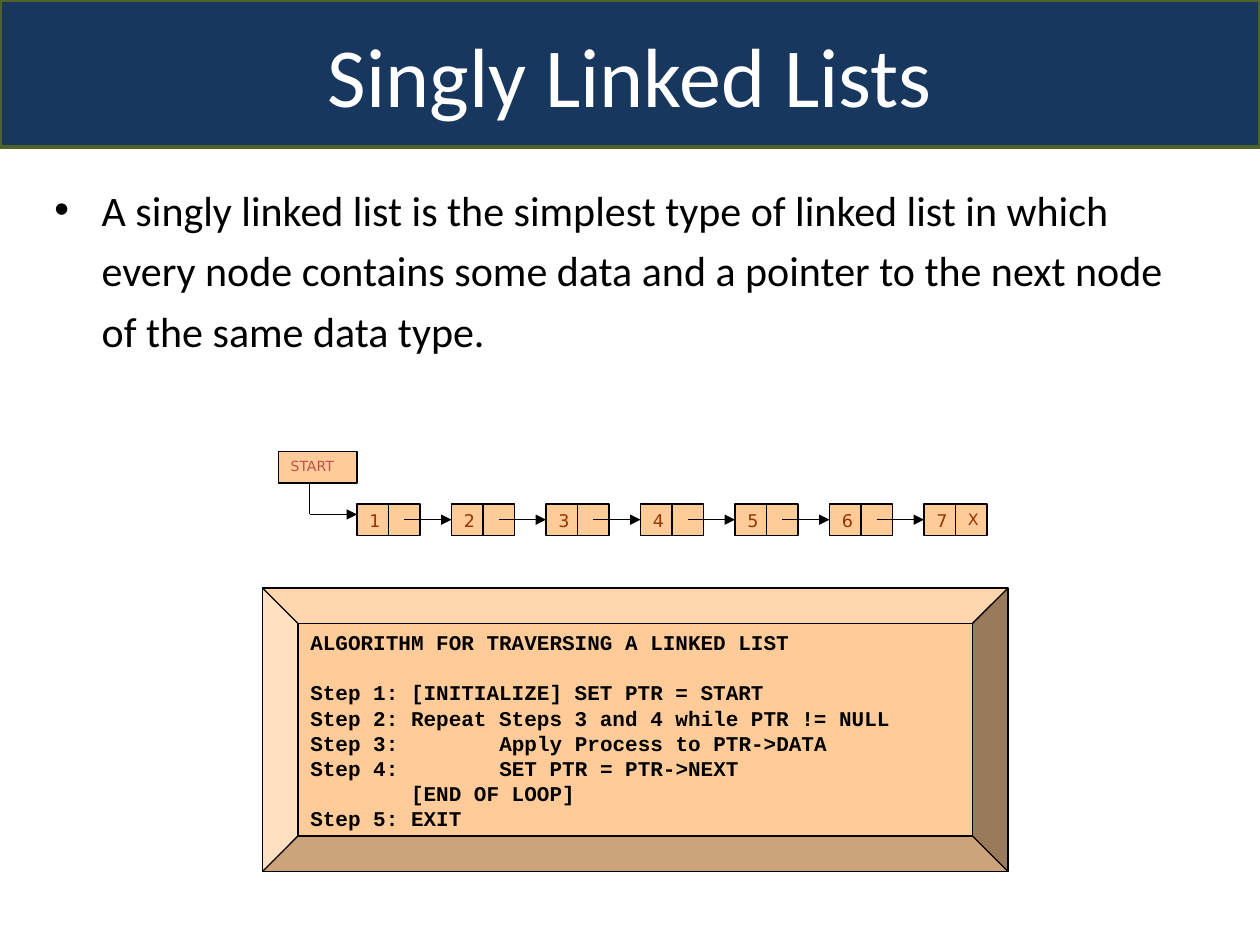
from dataclasses import dataclass
from typing import Any

from lxml import etree
from pptx import Presentation
from pptx import util as u
from pptx.dml.color import RGBColor
from pptx.enum import shapes, text
from pptx.oxml import ns

Pt = u.Pt
SHAPE = shapes.MSO_SHAPE


@dataclass(frozen=True)
class Theme:
    navy: str = "17375E"
    olive: str = "4F6228"
    peach: str = "FFCC99"
    rust: str = "993300"
    red: str = "C0504D"
    white: str = "FFFFFF"
    black: str = "000000"
    title_size: float = 48
    body_size: float = 24
    code_size: float = 12
    node_size: float = 10
    mark_size: float = 9
    start_size: float = 8
    thin: float = 0.75
    thick: float = 2


THEME = Theme()


@dataclass(frozen=True)
class Style:
    face: str
    size: float
    color: str
    bold: bool = False


@dataclass(frozen=True)
class Box:
    left: float
    top: float
    width: float
    height: float
    label: str = ""
    style: Style | None = None
    kind: Any = SHAPE.RECTANGLE
    fill: str = THEME.peach
    line: str = THEME.black
    weight: float = THEME.thin


@dataclass(frozen=True)
class Link:
    x1: float
    y1: float
    x2: float
    y2: float
    arrow: bool = True


TITLE = Style("Calibri", THEME.title_size, THEME.white)
BODY = Style("Calibri", THEME.body_size, THEME.black)
CODE = Style("Courier New", THEME.code_size, THEME.black, True)
NODE = Style("DejaVu Sans", THEME.node_size, THEME.rust)
MARK = Style("DejaVu Sans", THEME.mark_size, THEME.rust)
START = Style("DejaVu Sans", THEME.start_size, THEME.red)

DEFINITION = (
    "A singly linked list is the simplest type of linked list in which every node "
    "contains some data and a pointer to the next node of the same data type."
)
ALGORITHM = [
    "ALGORITHM FOR TRAVERSING A LINKED LIST",
    "Step 1: [INITIALIZE] SET PTR = START",
    "Step 2: Repeat Steps 3 and 4 while PTR != NULL",
    "Step 3: \t\tApply Process to PTR->DATA",
    "Step 4: \t\tSET PTR = PTR->NEXT",
    "        [END OF LOOP]",
    "Step 5: EXIT",
]
CODE_PITCH = 14.4

# Node row: square cells, two per node, one and a half cells of gap
CELL = 18
NODE_COUNT = 7
NODE_PITCH = 3 * CELL
ROW_LEFT, ROW_TOP = 204, 288


def apply_style(para: Any, style: Style) -> None:
    font = para.font
    font.name, font.size, font.bold = style.face, Pt(style.size), style.bold
    font.color.rgb = RGBColor.from_string(style.color)


def draw_box(parent: Any, box: Box) -> Any:
    shape = parent.add_shape(
        box.kind, Pt(box.left), Pt(box.top), Pt(box.width), Pt(box.height))
    shape.shadow.inherit = False
    shape.fill.solid()
    shape.fill.fore_color.rgb = RGBColor.from_string(box.fill)
    shape.line.color.rgb = RGBColor.from_string(box.line)
    shape.line.width = Pt(box.weight)
    frame = shape.text_frame
    frame.word_wrap = True
    frame.vertical_anchor = text.MSO_ANCHOR.TOP
    if box.style:
        frame.text = box.label
        for para in frame.paragraphs:
            para.alignment = text.PP_ALIGN.LEFT
            apply_style(para, box.style)
    return shape


def draw_link(parent: Any, link: Link) -> None:
    line = parent.add_connector(
        shapes.MSO_CONNECTOR.STRAIGHT,
        Pt(link.x1), Pt(link.y1), Pt(link.x2), Pt(link.y2))
    line.line.color.rgb = RGBColor.from_string(THEME.black)
    line.line.width = Pt(THEME.thin)
    if link.arrow:
        outline = line.line._get_or_add_ln()
        etree.SubElement(outline, ns.qn("a:tailEnd"), type="triangle")
    etree.SubElement(line._element.spPr, ns.qn("a:effectLst"))


def draw_title(page: Any) -> None:
    banner = draw_box(page.shapes, Box(
        0, 0, 720, 84, "Singly Linked Lists", TITLE, SHAPE.ROUNDED_RECTANGLE,
        THEME.navy, THEME.olive, THEME.thick))
    banner.adjustments[0] = 0
    banner.text_frame.vertical_anchor = text.MSO_ANCHOR.MIDDLE
    banner.text_frame.paragraphs[0].alignment = text.PP_ALIGN.CENTER


def draw_definition(page: Any) -> None:
    frame = page.shapes.add_textbox(Pt(24), Pt(96), Pt(672), Pt(121)).text_frame
    frame.word_wrap = True
    para = frame.paragraphs[0]
    para.text = DEFINITION
    para.line_spacing = 1.2
    props = para._p.get_or_add_pPr()
    props.set("marL", str(Pt(27)))
    props.set("indent", str(-Pt(27)))
    etree.SubElement(props, ns.qn("a:buFont"), typeface="Arial")
    etree.SubElement(props, ns.qn("a:buChar"), char="•")
    apply_style(para, BODY)


def draw_list(page: Any) -> None:
    parts = page.shapes.add_group_shape().shapes
    middle = ROW_TOP + CELL / 2
    for index in range(NODE_COUNT):
        left = ROW_LEFT + index * NODE_PITCH
        last = index == NODE_COUNT - 1
        draw_box(parts, Box(left, ROW_TOP, CELL, CELL, str(index + 1), NODE))
        draw_box(parts, Box(left + CELL, ROW_TOP, CELL, CELL,
                            "X" if last else "", MARK if last else None))
        if not last:
            draw_link(parts, Link(left + 1.5 * CELL, middle, left + NODE_PITCH, middle))

    # Start pointer with its elbow into the first node
    draw_box(parts, Box(159, 258, 45, CELL, "START", START))
    draw_link(parts, Link(177, 276, 177, 294, arrow=False))
    draw_link(parts, Link(177, 294, ROW_LEFT, 294))


def draw_algorithm(page: Any) -> None:
    panel = draw_box(page.shapes, Box(
        150, 336, 426, 162, "\n".join(ALGORITHM), CODE, SHAPE.BEVEL))
    panel.adjustments[0] = 0.125
    paragraphs = panel.text_frame.paragraphs
    for para in paragraphs:
        para.line_spacing = Pt(CODE_PITCH)
    paragraphs[1].space_before = Pt(CODE_PITCH)


def main() -> None:
    deck = Presentation()
    deck.slide_width, deck.slide_height = Pt(720), Pt(540)
    page = deck.slides.add_slide(deck.slide_layouts[6])
    draw_title(page)
    draw_definition(page)
    draw_list(page)
    draw_algorithm(page)
    deck.save("out.pptx")


if __name__ == "__main__":
    main()
